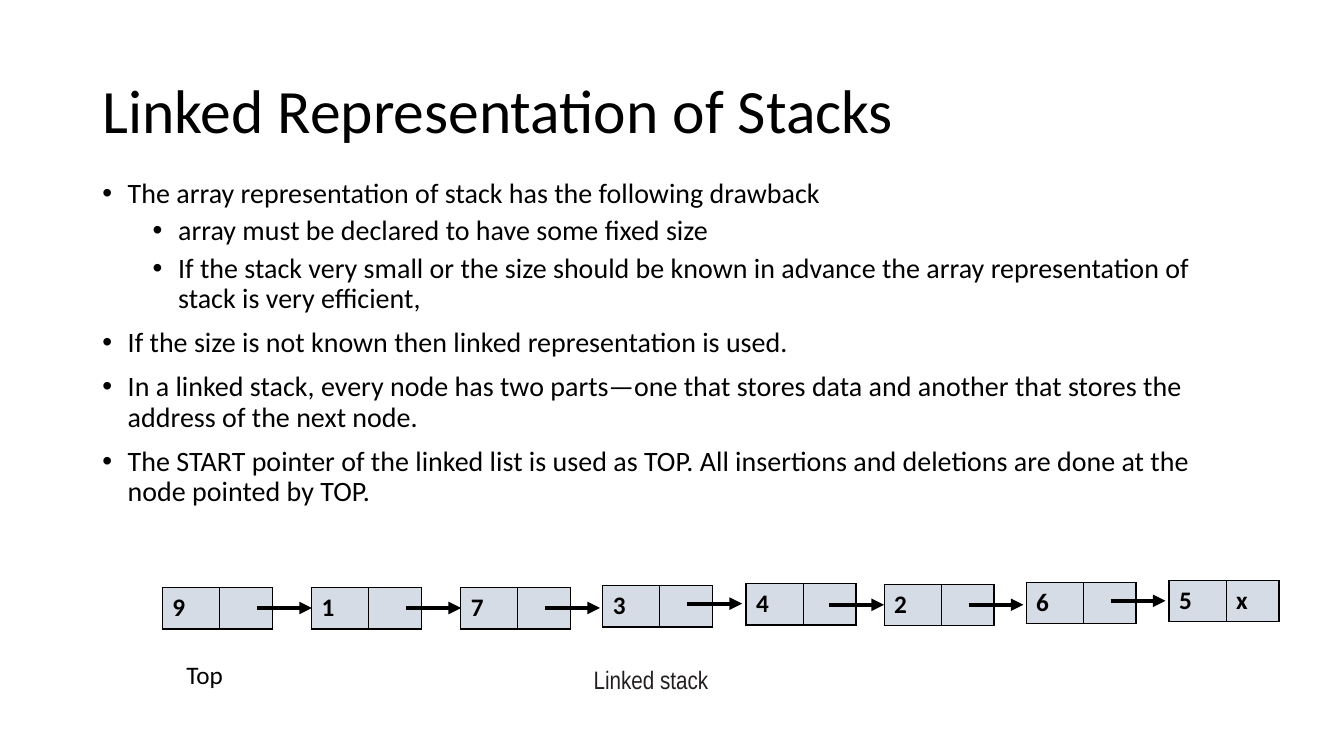
"""Build a slide that explains the linked representation of stacks."""
from lxml import etree
from pptx import Presentation
from pptx import util as u
from pptx.dml.color import RGBColor
from pptx.enum import shapes, text
from pptx.oxml import ns

COLORS = {"ink": "000000", "caption": "231F20", "cell": "D6DCE5"}
BULLETS = [
    (0, "The array representation of stack has the following drawback"),
    (1, "array must be declared to have some fixed size"),
    (1, "If the stack very small or the size should be known in advance the array "
        "representation of stack is very efficient,"),
    (0, "If the size is not known then linked representation is used."),
    (0, "In a linked stack, every node has two parts—one that stores data and another "
        "that stores the address of the next node."),
    (0, "The START pointer of the linked list is used as TOP. All insertions and "
        "deletions are done at the node pointed by TOP."),
]
NODES = [
    ("9", 4.09, 14.81), ("1", 7.85, 14.81), ("7", 11.61, 14.81), ("3", 15.19, 14.76),
    ("4", 18.8, 14.71), ("2", 22.28, 14.73), ("6", 25.86, 14.68), ("5", 29.46, 14.63),
]
ARROWS = [
    (6.48, 15.32), (10.24, 15.32), (13.74, 15.32), (17.32, 15.21),
    (20.9, 15.24), (24.41, 15.24), (27.99, 15.14),
]


def color(name):
    return RGBColor.from_string(COLORS[name])


def add_child(parent, tag, **attributes):
    return etree.SubElement(parent, ns.qn(tag), attributes)


def write(para, words, size=18, font="Calibri", ink="ink", bold=False):
    """Add a formatted span of text to a paragraph."""
    span = para.add_run()
    span.text = words
    span.font.size = u.Pt(size)
    span.font.name = font
    span.font.bold = bold
    span.font.color.rgb = color(ink)


class StackSlide:
    """Hold the style and the current slide, and draw its elements."""

    arrow_length = 1.38
    cell_widths = (1.44, 1.33)
    cell_height = 1.04

    def __init__(self, deck):
        self.page = deck.slides.add_slide(deck.slide_layouts[5])

    def title(self, words):
        box = self.page.shapes.title
        box.left, box.top, box.width, box.height = map(u.Cm, (2.33, 1.01, 29.21, 3.68))
        box.text_frame.vertical_anchor = text.MSO_ANCHOR.MIDDLE
        para = box.text_frame.paragraphs[0]
        para.alignment = text.PP_ALIGN.LEFT
        para.line_spacing = 0.9
        write(para, words, size=44)

    def bullets(self, items):
        box = self.page.shapes.add_textbox(*map(u.Cm, (2.33, 4.4, 29.21, 12.09)))
        frame = box.text_frame
        frame.word_wrap = True
        for index, (level, words) in enumerate(items):
            para = frame.add_paragraph() if index else frame.paragraphs[0]
            para.level = level
            para.line_spacing = 0.9
            para.space_before = u.Pt(5 if level else 10)
            write(para, words, size=20)
            layout = para._p.get_or_add_pPr()
            layout.set("marL", str(u.Cm(0.64 + 1.27 * level)))
            layout.set("indent", str(u.Cm(-0.64)))
            add_child(layout, "a:buFont", typeface="Arial")
            add_child(layout, "a:buChar", char="•")

    def node(self, value, link, left, top):
        frame = self.page.shapes.add_table(
            1, 2, u.Cm(left), u.Cm(top), u.Cm(sum(self.cell_widths)), u.Cm(self.cell_height))
        table = frame.table
        table.first_row = table.horz_banding = False
        for column, (words, width) in enumerate(zip((value, link), self.cell_widths)):
            table.columns[column].width = u.Cm(width)
            cell = table.cell(0, column)
            cell.fill.solid()
            cell.fill.fore_color.rgb = color("cell")
            if words:
                write(cell.text_frame.paragraphs[0], words, bold=True)
            self.border(cell)

    def border(self, cell):
        properties = cell._tc.get_or_add_tcPr()
        for index, side in enumerate(("a:lnL", "a:lnR", "a:lnT", "a:lnB")):
            line = add_child(properties, side, w=str(u.Pt(1)))
            add_child(add_child(line, "a:solidFill"), "a:srgbClr", val=COLORS["ink"])
            properties.insert(index, line)

    def arrow(self, left, top):
        link = self.page.shapes.add_connector(
            shapes.MSO_CONNECTOR.STRAIGHT,
            *map(u.Cm, (left, top, left + self.arrow_length, top)))
        link.line.width = u.Pt(3)
        link.line.color.rgb = color("ink")
        add_child(link.line._get_or_add_ln(), "a:tailEnd", type="triangle")
        add_child(link._element.spPr, "a:effectLst")

    def label(self, words, left, top, width, **style):
        box = self.page.shapes.add_textbox(*map(u.Cm, (left, top, width, 1.02)))
        box.text_frame.word_wrap = False
        box.text_frame.auto_size = text.MSO_AUTO_SIZE.SHAPE_TO_FIT_TEXT
        write(box.text_frame.paragraphs[0], words, **style)


def main():
    deck = Presentation()
    deck.slide_width, deck.slide_height = u.Cm(33.87), u.Cm(19.05)
    slide = StackSlide(deck)
    slide.title("Linked Representation of Stacks")
    slide.bullets(BULLETS)
    for value, left, top in NODES:
        slide.node(value, "x" if value == "5" else "", left, top)
    for left, top in ARROWS:
        slide.arrow(left, top)
    slide.label("Top", 4.45, 16.48, 1.45)
    slide.label("Linked stack", 14.71, 16.61, 4.06, font="Arial Narrow", ink="caption")
    deck.save("out.pptx")


if __name__ == "__main__":
    main()
